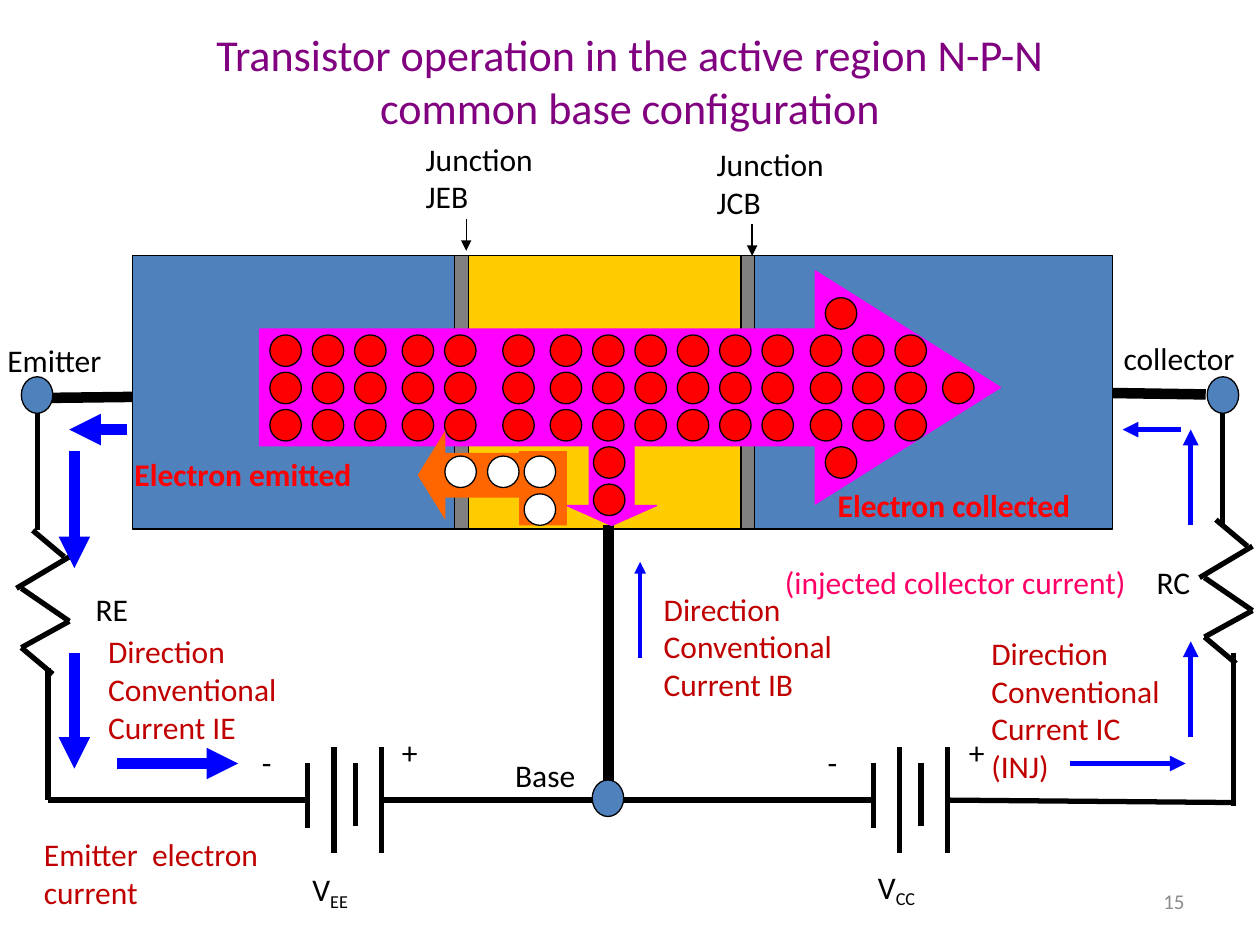
import pptx
import pptx.util
import pptx.dml.color
import pptx.enum.shapes
import pptx.enum.text
import pptx.oxml.ns
import lxml.etree
import dataclasses

Pt = pptx.util.Pt
Shape = pptx.enum.shapes.MSO_SHAPE
Align = pptx.enum.text.PP_ALIGN
Anchor = pptx.enum.text.MSO_ANCHOR
qn = pptx.oxml.ns.qn


@dataclasses.dataclass(frozen=True)
class Theme:
    font: str = "Calibri"
    title: str = "800080"
    black: str = "000000"
    silicon: str = "4F81BD"
    base: str = "FFCC00"
    junction: str = "808080"
    flow: str = "FF00FF"
    electron: str = "FF0000"
    hole: str = "FFFFFF"
    hole_flow: str = "FF6600"
    current: str = "0000FF"
    note: str = "C00000"
    injected: str = "FF0066"
    number: str = "8C8C8C"
    title_size: float = 25.2
    body_size: float = 18
    number_size: float = 12


theme = Theme()
rgb = pptx.dml.color.RGBColor.from_string

deck = pptx.Presentation()
deck.slide_width, deck.slide_height = Pt(720), Pt(540)
page = deck.slides.add_slide(deck.slide_layouts[6])


def draw_shape(kind, left, top, width, height, fill, outline=None, adjustments=()):
    shape = page.shapes.add_shape(kind, Pt(left), Pt(top), Pt(width), Pt(height))
    shape.shadow.inherit = False
    shape.fill.solid()
    shape.fill.fore_color.rgb = rgb(fill)
    if outline:
        shape.line.color.rgb = rgb(outline)
        shape.line.width = Pt(0.75)
    else:
        shape.line.fill.background()
    for index, value in enumerate(adjustments):
        shape.adjustments[index] = value
    return shape


def draw_line(start, end, weight, colour=theme.black, arrow=False):
    line = page.shapes.add_connector(
        pptx.enum.shapes.MSO_CONNECTOR.STRAIGHT, *map(Pt, start + end))
    line.line.color.rgb = rgb(colour)
    line.line.width = Pt(weight)
    if arrow:
        lxml.etree.SubElement(line.line._get_or_add_ln(), qn("a:tailEnd"), type="triangle")
    lxml.etree.SubElement(line._element.spPr, qn("a:effectLst"))


for left, right, fill in [
    (267.8, 423.4, theme.base),
    (75.6, 259.9, theme.silicon),
    (429.8, 635.8, theme.silicon),
    (423.4, 431.3, theme.junction),
    (259.9, 267.8, theme.junction),
]:
    draw_shape(Shape.RECTANGLE, left, 146.2, right - left, 156.2, fill, theme.black)

for start, end in [
    ((18.7, 227.5), (75.6, 226.8)),
    ((635.8, 224.6), (689, 225.4)),
    ((347.8, 457.2), (347.8, 300.2)),
]:
    draw_line(start, end, 6)

for start, end in [
    ((21.6, 227.5), (21.6, 303.1)),
    ((27.4, 381.6), (27.4, 457.2)),
    ((175.7, 457.2), (27.4, 457.2)),
    ((350.6, 457.2), (218.2, 457.2)),
    ((499, 457.2), (350.6, 457.2)),
    ((704.9, 458.6), (541.4, 457.2)),
    ((704.9, 373), (704.9, 460.8)),
    ((698.4, 224.6), (698.4, 300.2)),
]:
    draw_line(start, end, 3)

for right, down in [(0, 0), (676.1, -6.1)]:
    for x1, y1, x2, y2 in [
        (18.7, 303.1, 36.7, 318.2),
        (39.6, 318.2, 9.4, 336.2),
        (12.2, 336.2, 39.6, 355),
        (39.6, 355, 12.2, 370.1),
        (12.2, 370.1, 30.2, 385.2),
    ]:
        draw_line((x1 + right, y1 + down), (x2 + right, y2 + down), 3)

for battery in [175.7, 499]:
    for offset, top, bottom in [
        (0, 436.3, 473), (15.1, 427, 487.4), (27.3, 436.3, 472.3), (42.5, 427, 487.4),
    ]:
        draw_line((battery + offset, top), (battery + offset, bottom), 3)

for left, top in [(338.4, 445.7), (689.8, 215.3), (12.2, 215.3)]:
    draw_shape(Shape.OVAL, left, top, 18, 20.9, theme.silicon, theme.black)

draw_shape(Shape.RIGHT_ARROW, 148.3, 154.8, 423.4, 133.2, theme.flow, theme.flow, (0.5, 0.795))
draw_shape(Shape.DOWN_ARROW, 324, 254.9, 51.1, 45.4, theme.flow, theme.flow, (0.5, 0.25))

electrons = [
    (start + column * 24.2, row)
    for start, count in [(154.2, 3), (229.8, 2), (287.3, 1), (314.4, 6), (463, 3)]
    for column in range(count)
    for row in range(3)
]
electrons += [(339.1, 3), (339.1, 4), (538.6, 1), (471.6, -1), (471.6, 3)]
for left, row in electrons:
    draw_shape(Shape.OVAL, left, 191.4 + row * 21.3, 18, 18, theme.electron, theme.black)

hole_arrow = draw_shape(Shape.DOWN_ARROW, 244.8, 239.8, 51.1, 63.4, theme.hole_flow,
                        adjustments=(0.5, 0.31))
hole_arrow.rotation = 90
draw_shape(Shape.RECTANGLE, 296.6, 257.8, 27.4, 42.5, theme.hole_flow)
for left, top in [(299.5, 282.2), (299.5, 260.6), (278.6, 260.6), (254.2, 260.6)]:
    draw_shape(Shape.OVAL, left, top, 18, 18, theme.hole, theme.black)

for start, end, weight, colour in [
    ((266.4, 125.3), (266.4, 143.3), 0.75, theme.black),
    ((429.8, 128.2), (429.8, 146.2), 0.75, theme.black),
    ((611.3, 436.3), (677.5, 436.3), 3, theme.current),
    ((680.4, 421.2), (680.4, 366.5), 3, theme.current),
    ((680.4, 300.2), (680.4, 245.5), 3, theme.current),
    ((674.6, 245.5), (641.5, 245.5), 3, theme.current),
    ((365.8, 375.8), (365.8, 321.1), 2.25, theme.current),
    ((72.7, 245.5), (39.6, 245.5), 6, theme.current),
    ((42.5, 257.8), (42.5, 324.7), 6, theme.current),
    ((42.5, 373), (42.5, 439.2), 6, theme.current),
    ((67, 436.3), (136.1, 436.3), 6, theme.current),
]:
    draw_line(start, end, weight, colour, arrow=True)

direction = ["Direction", "Conventional"]
title_lines = ["Transistor operation in the active region N-P-N", "common base configuration"]
body = (theme.body_size, False, Align.LEFT, Anchor.TOP)
strong = (theme.body_size, True, Align.LEFT, Anchor.TOP)
heading = (theme.title_size, False, Align.CENTER, Anchor.MIDDLE)
footer = (theme.number_size, False, Align.RIGHT, Anchor.MIDDLE)

for left, top, width, height, lines, colour, style in [
    (36, 20.2, 648, 51.8, title_lines, theme.title, heading),
    (236.2, 76.3, 81.4, 50.4, ["Junction", "JEB"], theme.black, body),
    (402.5, 79.2, 81.4, 50.4, ["Junction", "JCB"], theme.black, body),
    (-2.9, 191.5, 71.3, 28.8, ["Emitter"], theme.black, body),
    (635, 190.1, 81.4, 28.8, ["collector"], theme.black, body),
    (287.3, 428.4, 60.5, 28.8, ["Base"], theme.black, body),
    (47.5, 333.4, 35.3, 28.8, ["RE"], theme.black, body),
    (653.8, 318.2, 36, 28.8, ["RC"], theme.black, body),
    (171.4, 493.9, 42.5, 28.8, ["V_EE"], theme.black, body),
    (494.6, 492.5, 43.9, 28.8, ["V_CC"], theme.black, body),
    (222.5, 415.4, 25.2, 28.8, ["+"], theme.black, body),
    (546.5, 415.4, 25.2, 28.8, ["+"], theme.black, body),
    (142.6, 421.2, 20.2, 28.8, ["-"], theme.black, body),
    (465.8, 421.2, 20.2, 28.8, ["-"], theme.black, body),
    (69.8, 256.3, 155.5, 28.8, ["Electron emitted"], theme.electron, strong),
    (471.6, 274.3, 169.2, 28.8, ["Electron collected"], theme.electron, strong),
    (18, 473.8, 145.4, 50.4, ["Emitter  electron", "current"], theme.note, body),
    (559.4, 358.6, 122.4, 72, direction + ["Current IC (INJ)"], theme.note, body),
    (372.2, 333.4, 119.5, 72, direction + ["Current IB"], theme.note, body),
    (54.7, 357.8, 119.5, 72, direction + ["Current IE"], theme.note, body),
    (441.4, 318.2, 221.8, 28.8, ["(injected collector current)"], theme.injected, body),
    (516.2, 500.4, 167.8, 28.8, ["15"], theme.number, footer),
]:
    size, bold, alignment, anchor = style
    box = page.shapes.add_textbox(Pt(left), Pt(top), Pt(width), Pt(height))
    frame = box.text_frame
    frame.word_wrap = True
    frame.vertical_anchor = anchor
    for index, line in enumerate(lines):
        para = frame.add_paragraph() if index else frame.paragraphs[0]
        para.alignment = alignment
        for part, words in enumerate(line.split("_")):
            span = para.add_run()
            span.text = words
            span.font.name = theme.font
            span.font.size = Pt(size)
            span.font.bold = bold
            span.font.color.rgb = rgb(colour)
            if part:
                span.font._element.set("baseline", "-20000")

deck.save("out.pptx")
